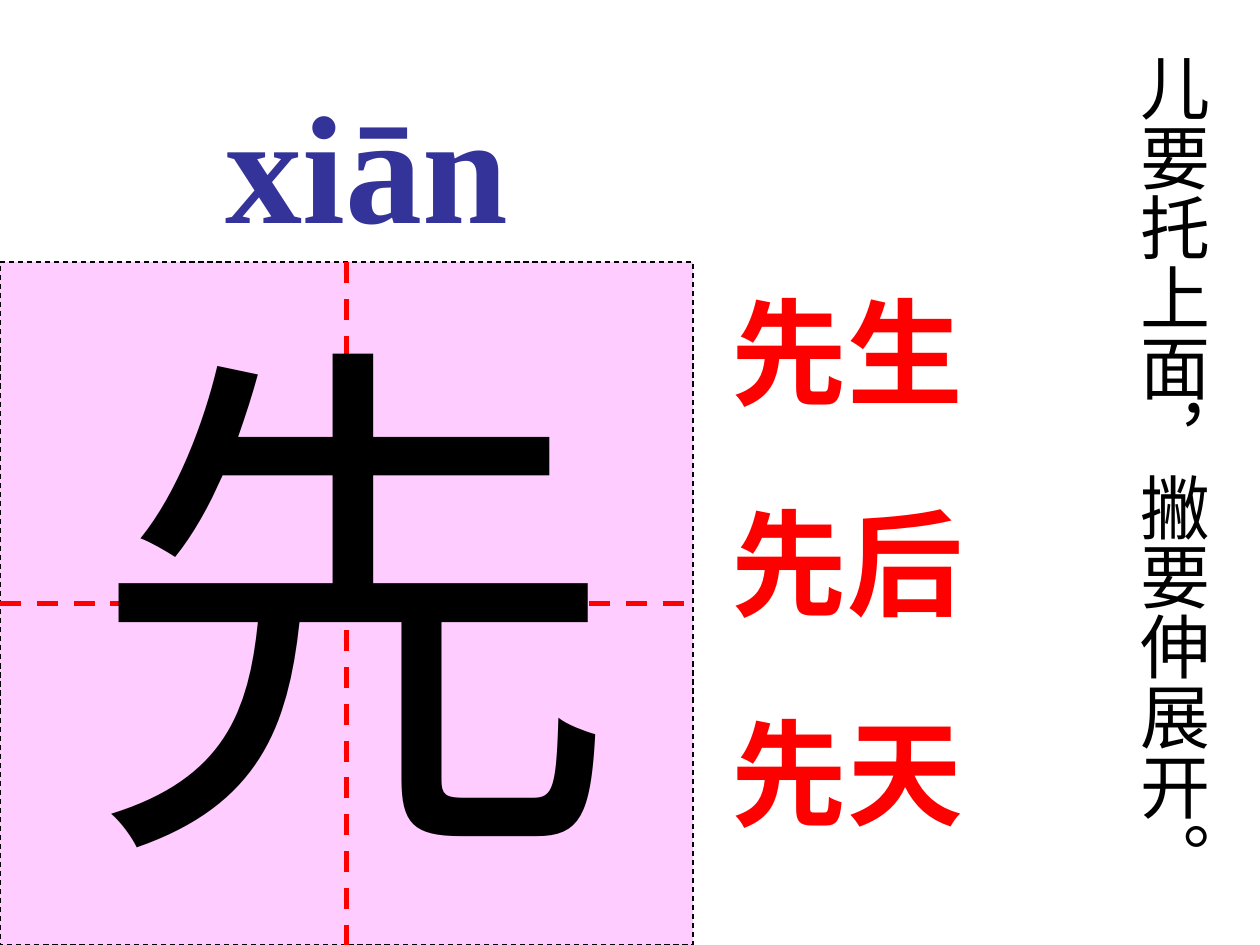
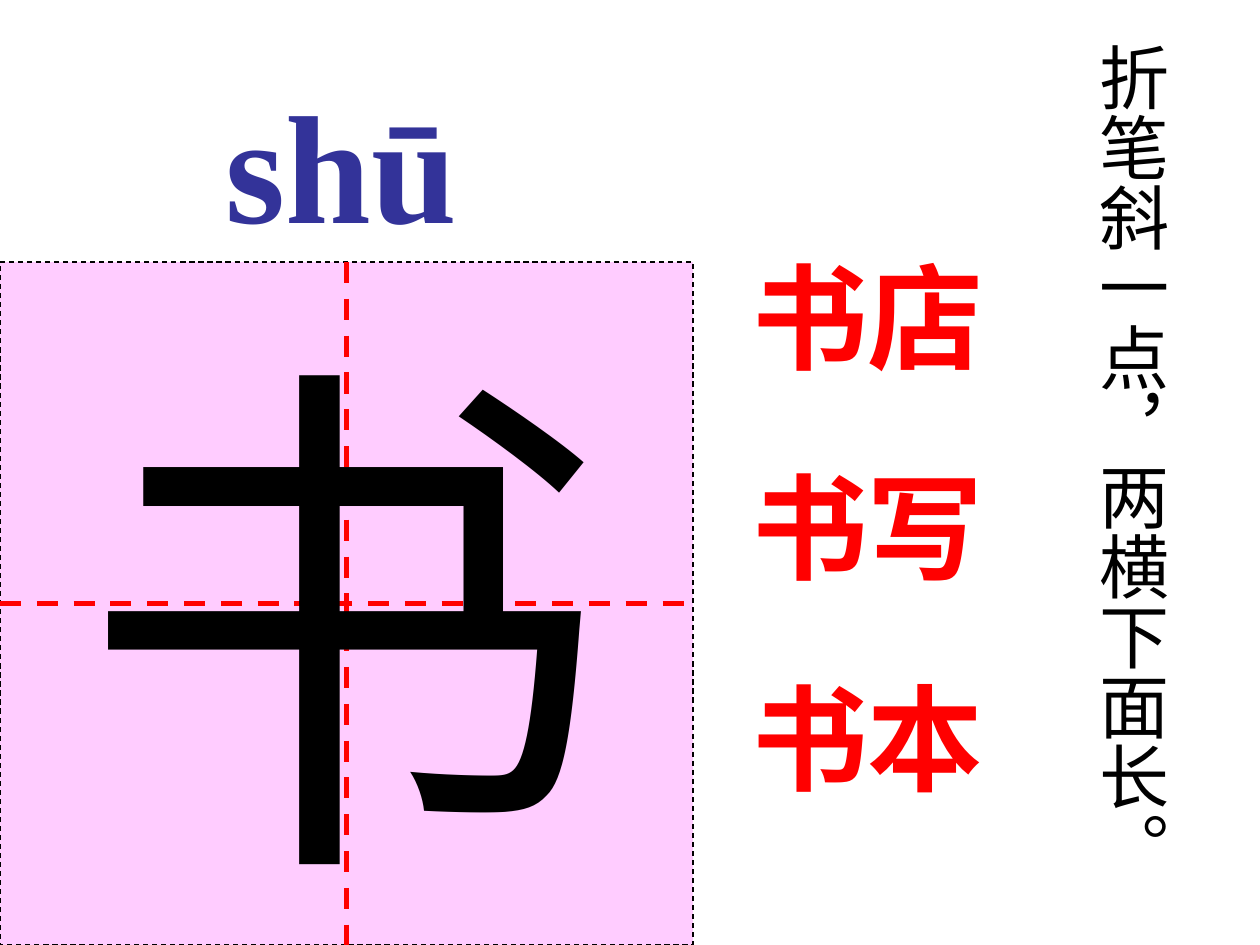
from dataclasses import dataclass

from lxml import etree
from pptx import Presentation
from pptx.dml.color import RGBColor
from pptx.enum.dml import MSO_LINE
from pptx.enum.shapes import MSO_CONNECTOR, MSO_SHAPE
from pptx.enum.text import MSO_ANCHOR, MSO_AUTO_SIZE, PP_ALIGN
from pptx.oxml.ns import qn
from pptx.util import Inches, Pt

DASH = MSO_LINE.DASH
STRAIGHT = MSO_CONNECTOR.STRAIGHT
RECT = MSO_SHAPE.RECTANGLE
TOP = MSO_ANCHOR.TOP
NO_FIT = MSO_AUTO_SIZE.NONE
LEFT = PP_ALIGN.LEFT
TITLE_ONLY = 5


@dataclass(frozen=True)
class Theme:
    """Colours, font and type sizes of the deck."""
    font: str = "Times New Roman"
    ink: str = "000000"
    sound: str = "333399"
    red: str = "FF0000"
    pink: str = "FFCCFF"
    glyph_size: int = 305
    sound_size: int = 88
    word_size: int = 66
    verse_size: int = 40
    word_gap: float = 41.2


@dataclass(frozen=True)
class Card:
    """One character with its sound, words, verse and box corners."""
    glyph: str
    sound: str
    words: tuple
    verse: str
    glyph_at: tuple
    words_at: tuple
    verse_at: tuple


THEME = Theme()
GRID = (0, 2.08, 5.5, 5.42)
CARDS = (
    Card("先", "xiān", ("先生", "先后", "先天"), "儿要托上面，撇要伸展开。",
         (0.59, 2.08), (5.71, 2.18), (8.83, 0.32)),
    Card("书", "shū", ("书店", "书写", "书本"), "折笔斜一点，两横下面长。",
         (0.51, 2.24), (5.87, 1.9), (8.51, 0.24)),
)


def style_line(line, color, width):
    """Give a line its colour, width and dashes."""
    line.color.rgb = RGBColor.from_string(color)
    line.width = Pt(width)
    line.dash_style = DASH


def add_guide(group, x1, y1, x2, y2):
    """Add a dashed red guide line to the grid."""
    guide = group.shapes.add_connector(
        STRAIGHT, Inches(x1), Inches(y1), Inches(x2), Inches(y2))
    style_line(guide.line, THEME.red, 3)
    etree.SubElement(guide._element.spPr, qn("a:effectLst"))


def add_grid(slide):
    """Add the pink writing square with its cross."""
    x, y, w, h = GRID
    group = slide.shapes.add_group_shape()
    square = group.shapes.add_shape(RECT, *map(Inches, GRID))
    square.shadow.inherit = False
    square.fill.solid()
    square.fill.fore_color.rgb = RGBColor.from_string(THEME.pink)
    style_line(square.line, THEME.ink, 0.75)
    add_guide(group, x, y + h / 2, x + w, y + h / 2)
    add_guide(group, x + w / 2, y, x + w / 2, y + h)


def fill_text(frame, lines, size, color, bold=False, gap=0):
    """Write lines into a text frame, with a gap between them."""
    frame.auto_size = NO_FIT
    frame.vertical_anchor = TOP
    for i, line in enumerate(lines):
        para = frame.add_paragraph() if i else frame.paragraphs[0]
        para.alignment = LEFT
        para.space_before = Pt(gap if i else 0)
        run = para.add_run()
        run.text = line
        run.font.name = THEME.font
        run.font.size = Pt(size)
        run.font.bold = bold
        run.font.color.rgb = RGBColor.from_string(color)


def add_text(slide, spot, size, lines, *style, **more):
    """Add a wrapped text box and return its frame."""
    frame = slide.shapes.add_textbox(*map(Inches, spot + size)).text_frame
    frame.word_wrap = True
    fill_text(frame, lines, *style, **more)
    return frame


def set_title(slide, sound):
    """Place the sound of the character in the title."""
    title = slide.shapes.title
    title.left, title.top, title.width, title.height = map(
        Inches, (1.08, 0.5, 4.83, 1.57))
    title.text_frame.margin_left = Inches(0.71)
    fill_text(title.text_frame, [sound], THEME.sound_size, THEME.sound, True)


def add_verse(slide, spot, verse):
    """Add the verse as a vertical column."""
    frame = add_text(slide, spot, (0.86, 6.76), [verse],
                     THEME.verse_size, THEME.ink)
    frame.word_wrap = False
    frame.margin_left = frame.margin_right = Inches(0.05)
    frame.margin_top = frame.margin_bottom = Inches(0.1)
    frame._txBody.bodyPr.set("vert", "eaVert")


def add_card(deck, card):
    """Add one slide that teaches a character."""
    slide = deck.slides.add_slide(deck.slide_layouts[TITLE_ONLY])
    set_title(slide, card.sound)
    add_grid(slide)
    add_text(slide, card.glyph_at, (4.83, 5.19), [card.glyph],
             THEME.glyph_size, THEME.ink)
    add_text(slide, card.words_at, (2.92, 4.55), card.words,
             THEME.word_size, THEME.red, bold=True, gap=THEME.word_gap)
    add_verse(slide, card.verse_at, card.verse)


def main():
    """Build and save the deck."""
    deck = Presentation()
    deck.slide_width, deck.slide_height = Inches(10), Inches(7.5)
    for card in CARDS:
        add_card(deck, card)
    deck.save("out.pptx")


if __name__ == "__main__":
    main()
